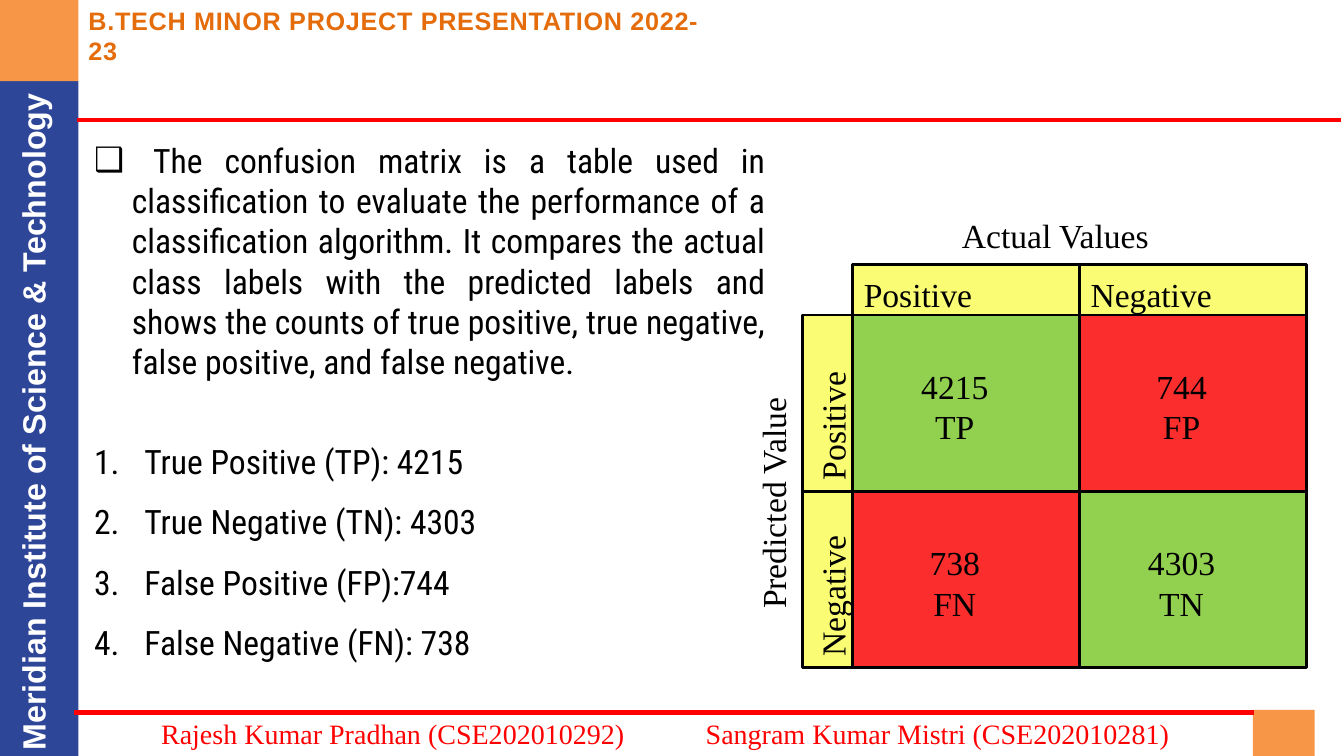
from dataclasses import dataclass

from lxml.etree import SubElement
from pptx import Presentation
from pptx.dml.color import RGBColor
from pptx.enum.shapes import MSO_CONNECTOR, MSO_SHAPE
from pptx.enum.text import MSO_ANCHOR, MSO_AUTO_SIZE, PP_ALIGN
from pptx.oxml.ns import qn
from pptx.util import Pt


@dataclass(frozen=True)
class Theme:
    orange: str = "F79646"
    heading: str = "E46C0A"
    blue: str = "2E4698"
    red: str = "FF0000"
    correct: str = "92D050"
    wrong: str = "FB2D2D"
    label: str = "FAFD73"
    black: str = "000000"
    white: str = "FFFFFF"
    sans: str = "Arial"
    body: str = "Roboto Condensed"
    serif: str = "Times New Roman"
    heading_size: int = 18
    footer_size: int = 20
    sidebar_size: int = 23
    text_size: int = 24


THEME = Theme()

DEFINITION = (
    " The confusion matrix is a table used in classification to evaluate the "
    "performance of a classification algorithm. It compares the actual class "
    "labels with the predicted labels and shows the counts of true positive, "
    "true negative, false positive, and false negative."
)
COUNTS = [
    "True Positive (TP): 4215",
    "True Negative (TN): 4303",
    "False Positive (FP):744",
    "False Negative (FN): 738",
]
CLASSES = ["Positive", "Negative"]
MATRIX = [["4215\nTP", "744\nFP"], ["738\nFN", "4303\nTN"]]
MATRIX_LEFT, MATRIX_TOP = 609, 225
CELL_WIDTH, CELL_HEIGHT, LABEL_DEPTH = 162, 126, 36


def style(paragraph, size, name, color, bold=False, align=PP_ALIGN.LEFT):
    paragraph.alignment = align
    font = paragraph.font
    font.size, font.name, font.bold = Pt(size), name, bold
    font.color.rgb = RGBColor.from_string(color)


def place(shape, left, top, width, height):
    shape.left, shape.top = Pt(left), Pt(top)
    shape.width, shape.height = Pt(width), Pt(height)


def turn(shape):
    center_x = shape.left + shape.width // 2
    center_y = shape.top + shape.height // 2
    shape.width, shape.height = shape.height, shape.width
    shape.left = center_x - shape.width // 2
    shape.top = center_y - shape.height // 2
    shape.rotation = 270


def set_insets(frame, left, top, right, bottom):
    frame.margin_left, frame.margin_top = Pt(left), Pt(top)
    frame.margin_right, frame.margin_bottom = Pt(right), Pt(bottom)


def add_block(slide, box, fill, outlined=False):
    shape = slide.shapes.add_shape(MSO_SHAPE.RECTANGLE, *map(Pt, box))
    shape.shadow.inherit = False
    shape.fill.solid()
    shape.fill.fore_color.rgb = RGBColor.from_string(fill)
    if outlined:
        shape.line.color.rgb = RGBColor.from_string(THEME.black)
        shape.line.width = Pt(2)
    else:
        shape.line.fill.background()
    return shape


def add_rule(slide, left, right, y, width):
    rule = slide.shapes.add_connector(
        MSO_CONNECTOR.STRAIGHT, Pt(left), Pt(y), Pt(right), Pt(y)
    )
    rule.line.color.rgb = RGBColor.from_string(THEME.red)
    rule.line.width = Pt(width)
    SubElement(rule._element.spPr, qn("a:effectLst"))


def add_text(slide, box, text, size, name, color, **options):
    shape = slide.shapes.add_textbox(*map(Pt, box))
    shape.text_frame.word_wrap = True
    paragraph = shape.text_frame.paragraphs[0]
    paragraph.text = text
    style(paragraph, size, name, color, **options)
    return shape


def add_label(slide, box, text, vertical=False):
    shape = add_block(slide, box, THEME.label, outlined=True)
    if vertical:
        turn(shape)
    frame = shape.text_frame
    set_insets(frame, 8, 7, 0, 0)
    frame.vertical_anchor = MSO_ANCHOR.TOP
    frame.text = text
    style(frame.paragraphs[0], THEME.text_size, THEME.serif, THEME.black)


def add_cell(slide, box, text, fill):
    frame = add_block(slide, box, fill, outlined=True).text_frame
    set_insets(frame, 0, 4, 16, 0)
    frame.vertical_anchor = MSO_ANCHOR.MIDDLE
    frame.text = text
    for paragraph in frame.paragraphs:
        style(paragraph, THEME.text_size, THEME.serif, THEME.black,
              align=PP_ALIGN.CENTER)


def add_matrix(slide):
    for index, name in enumerate(CLASSES):
        x = MATRIX_LEFT + index * CELL_WIDTH
        y = MATRIX_TOP + index * CELL_HEIGHT
        for column, text in enumerate(MATRIX[index]):
            fill = THEME.correct if column == index else THEME.wrong
            cell_left = MATRIX_LEFT + column * CELL_WIDTH
            add_cell(slide, (cell_left, y, CELL_WIDTH, CELL_HEIGHT), text, fill)
        add_label(slide, (x, MATRIX_TOP - LABEL_DEPTH, CELL_WIDTH, LABEL_DEPTH), name)
        add_label(slide, (MATRIX_LEFT - LABEL_DEPTH, y, LABEL_DEPTH, CELL_HEIGHT),
                  name, vertical=True)
    axis_font = (THEME.text_size, THEME.serif, THEME.black)
    add_text(slide, (680, 150, 174, 36), "Actual Values", *axis_font)
    turn(add_text(slide, (534, 268, 36, 174), "Predicted Value", *axis_font))


def fill_title(title):
    place(title, 56, 0, 470, 30)
    frame = title.text_frame
    frame.text = "B.TECH MINOR PROJECT PRESENTATION 2022-23"
    frame.word_wrap = False
    frame.auto_size = MSO_AUTO_SIZE.NONE
    frame.vertical_anchor = MSO_ANCHOR.TOP
    paragraph = frame.paragraphs[0]
    style(paragraph, THEME.heading_size, THEME.sans, THEME.heading, bold=True)
    paragraph.runs[0]._r.get_or_add_rPr().set("spc", "50")


def add_list_item(paragraph, text, indent, tag, attribute, value, align):
    paragraph.text = text
    properties = paragraph._p.get_or_add_pPr()
    properties.set("marL", str(Pt(indent)))
    properties.set("indent", str(-Pt(indent)))
    SubElement(properties, qn(tag)).set(attribute, value)
    paragraph.space_before = Pt(0)
    style(paragraph, THEME.text_size, THEME.body, THEME.black, align=align)


def fill_body(body):
    place(body, 60, 96, 494, 381)
    frame = body.text_frame
    frame.auto_size = MSO_AUTO_SIZE.NONE
    add_list_item(frame.paragraphs[0], DEFINITION, 27, "a:buChar", "char", "❑",
                  PP_ALIGN.JUSTIFY)
    for index, text in enumerate(COUNTS):
        paragraph = frame.add_paragraph()
        add_list_item(paragraph, text, 36, "a:buAutoNum", "type", "arabicPeriod",
                      PP_ALIGN.LEFT)
        paragraph.line_spacing = 1.5
        if index == 0:
            paragraph.space_before = Pt(28)


def add_sidebar(slide):
    add_block(slide, (0, 58, 56, 482), THEME.blue)
    add_block(slide, (0, 0, 56, 58), THEME.orange)
    turn(add_text(slide, (6, 43, 36, 517), "Meridian Institute of Science & Technology",
                  THEME.sidebar_size, THEME.sans, THEME.white, bold=True,
                  align=PP_ALIGN.CENTER))


def add_footer(slide):
    add_block(slide, (895, 507, 44, 33), THEME.orange)
    add_rule(slide, 53, 896, 509, 3)
    footer = add_text(
        slide, (108, 508, 792, 32),
        "Rajesh Kumar Pradhan (CSE202010292)\tSangram Kumar Mistri (CSE202010281)",
        THEME.footer_size, THEME.serif, THEME.red)
    properties = footer.text_frame.paragraphs[0]._p.get_or_add_pPr()
    tabs = properties.makeelement(qn("a:tabLst"))
    SubElement(tabs, qn("a:tab"), pos=str(Pt(389)), algn="l")
    properties.insert(0, tabs)


def main():
    presentation = Presentation()
    presentation.slide_width, presentation.slide_height = Pt(960), Pt(540)
    slide = presentation.slides.add_slide(presentation.slide_layouts[1])
    fill_title(slide.shapes.title)
    fill_body(slide.placeholders[1])
    add_sidebar(slide)
    add_rule(slide, 55, 958, 86, 2.75)
    add_footer(slide)
    add_matrix(slide)
    presentation.save("out.pptx")


main()
